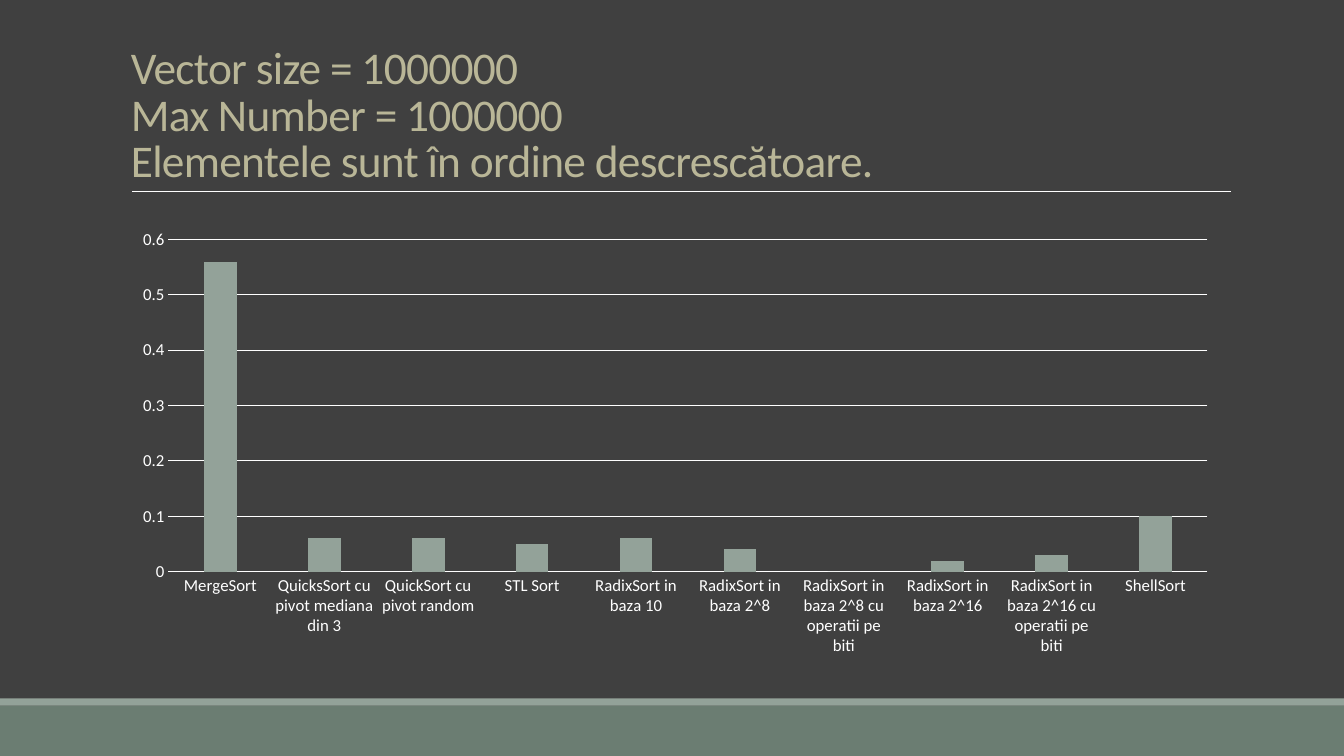
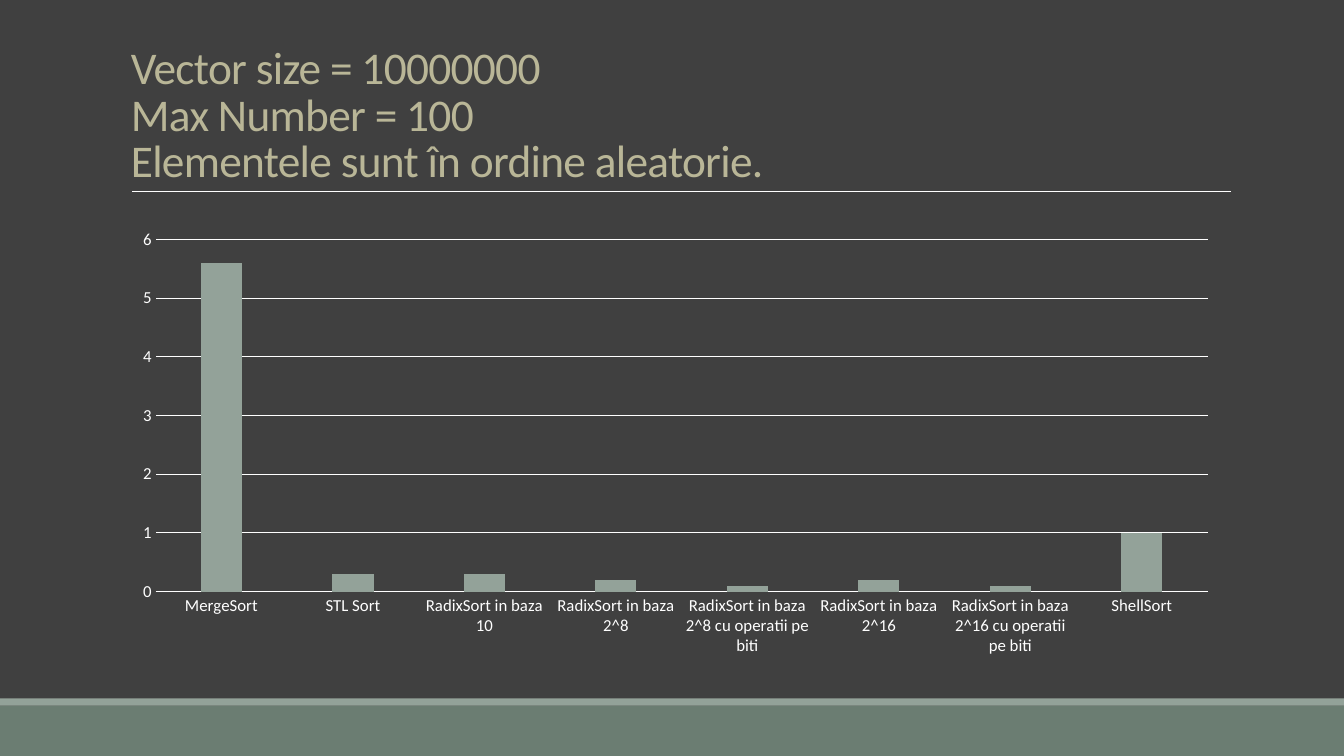
"""Builds two slides that compare the running times of sorting algorithms."""
from lxml import etree
from pptx import Presentation, util as u
from pptx.chart import data as chart_data
from pptx.dml import color
from pptx.enum import chart as kinds, shapes, text
from pptx.oxml import ns

THEME = {
    "font": "Calibri",
    "background": color.RGBColor.from_string("404040"),
    "band": color.RGBColor.from_string("6B7D72"),
    "accent": color.RGBColor.from_string("93A299"),
    "title": color.RGBColor.from_string("B9B697"),
    "white": color.RGBColor.from_string("FFFFFF"),
    "title_size": u.Pt(32.4),
    "label_size": u.Pt(12),
    "rule_width": u.Pt(0.5),
    "grid_width": u.Pt(0.75),
}
WIDTH, HEIGHT = u.Cm(33.87), u.Cm(19.05)
LEFT, CONTENT_WIDTH = u.Cm(3.05), u.Cm(27.94)
BANDS = [
    (u.Cm(17.78), u.Cm(1.27), THEME["band"]),
    (u.Cm(17.6), u.Cm(0.18), THEME["accent"]),
]
RADIX_SORTS = [
    "RadixSort in baza 10",
    "RadixSort in baza 2^8",
    "RadixSort in baza 2^8 cu operatii pe biti",
    "RadixSort in baza 2^16",
    "RadixSort in baza 2^16 cu operatii pe biti",
]
QUICK_SORTS = ["QuicksSort cu pivot mediana din 3", "QuickSort cu pivot random"]
SLIDES = [
    {
        "title": ["Vector size = 1000000", "Max Number = 1000000",
                  "Elementele sunt în ordine descrescătoare."],
        "sorts": ["MergeSort", *QUICK_SORTS, "STL Sort", *RADIX_SORTS, "ShellSort"],
        "times": [0.56, 0.06, 0.06, 0.05, 0.06, 0.04, 0, 0.02, 0.03, 0.1],
        "top": 0.6,
        "step": 0.1,
    },
    {
        "title": ["Vector size = 10000000", "Max Number = 100",
                  "Elementele sunt în ordine aleatorie."],
        "sorts": ["MergeSort", "STL Sort", *RADIX_SORTS, "ShellSort"],
        "times": [5.6, 0.3, 0.3, 0.2, 0.1, 0.2, 0.1, 1],
        "top": 6,
        "step": 1,
    },
]


def apply(target, values):
    for name, value in values.items():
        setattr(target, name, value)


def style_font(font, size, rgb):
    apply(font, {"name": THEME["font"], "size": size, "bold": False})
    font.color.rgb = rgb


deck = Presentation()
apply(deck, {"slide_width": WIDTH, "slide_height": HEIGHT})
master_fill = deck.slide_master.background.fill
master_fill.solid()
master_fill.fore_color.rgb = THEME["background"]

for content in SLIDES:
    page = deck.slides.add_slide(deck.slide_layouts[6])

    for top, height, rgb in BANDS:
        band = page.shapes.add_shape(shapes.MSO_SHAPE.RECTANGLE, 0, top, WIDTH, height)
        band.shadow.inherit = False
        band.fill.solid()
        band.fill.fore_color.rgb = rgb
        band.line.fill.background()

    rule = page.shapes.add_connector(
        shapes.MSO_CONNECTOR.STRAIGHT, u.Cm(3.33), u.Cm(4.83), u.Cm(31.01), u.Cm(4.83))
    rule.line.width = THEME["rule_width"]
    rule.line.color.rgb = THEME["white"]
    etree.SubElement(rule.element.spPr, ns.qn("a:effectLst"))

    box = page.shapes.add_textbox(LEFT, u.Cm(0.79), CONTENT_WIDTH, u.Cm(4.04))
    apply(box.text_frame, {"word_wrap": True, "vertical_anchor": text.MSO_ANCHOR.BOTTOM})
    para = box.text_frame.paragraphs[0]
    para.text = "\v".join(content["title"])
    para.line_spacing = 0.85
    for span in para.runs:
        style_font(span.font, THEME["title_size"], THEME["title"])
        span.font._element.set("spc", "-50")

    timings = chart_data.CategoryChartData()
    timings.categories = content["sorts"]
    timings.add_series("Series 1", content["times"])
    chart = page.shapes.add_chart(
        kinds.XL_CHART_TYPE.COLUMN_CLUSTERED,
        LEFT, u.Cm(5.56), CONTENT_WIDTH, u.Cm(11.18), timings).chart
    apply(chart, {"has_legend": False, "has_title": False})
    style_font(chart.font, THEME["label_size"], THEME["white"])

    plot = chart.plots[0]
    apply(plot, {"gap_width": 219, "overlap": -27, "vary_by_categories": False})
    bars = plot.series[0].format.fill
    bars.solid()
    bars.fore_color.rgb = THEME["accent"]

    sort_axis, time_axis = chart.category_axis, chart.value_axis
    for axis in (sort_axis, time_axis):
        apply(axis, {"major_tick_mark": kinds.XL_TICK_MARK.NONE,
                     "minor_tick_mark": kinds.XL_TICK_MARK.NONE})
        style_font(axis.tick_labels.font, THEME["label_size"], THEME["white"])
    apply(time_axis, {"minimum_scale": 0, "maximum_scale": content["top"],
                      "major_unit": content["step"], "has_major_gridlines": True})
    apply(time_axis.tick_labels, {"number_format": "General",
                                  "number_format_is_linked": False})
    time_axis.format.line.fill.background()
    for line in (sort_axis.format.line, time_axis.major_gridlines.format.line):
        line.width = THEME["grid_width"]
        line.color.rgb = THEME["white"]

deck.save("out.pptx")
